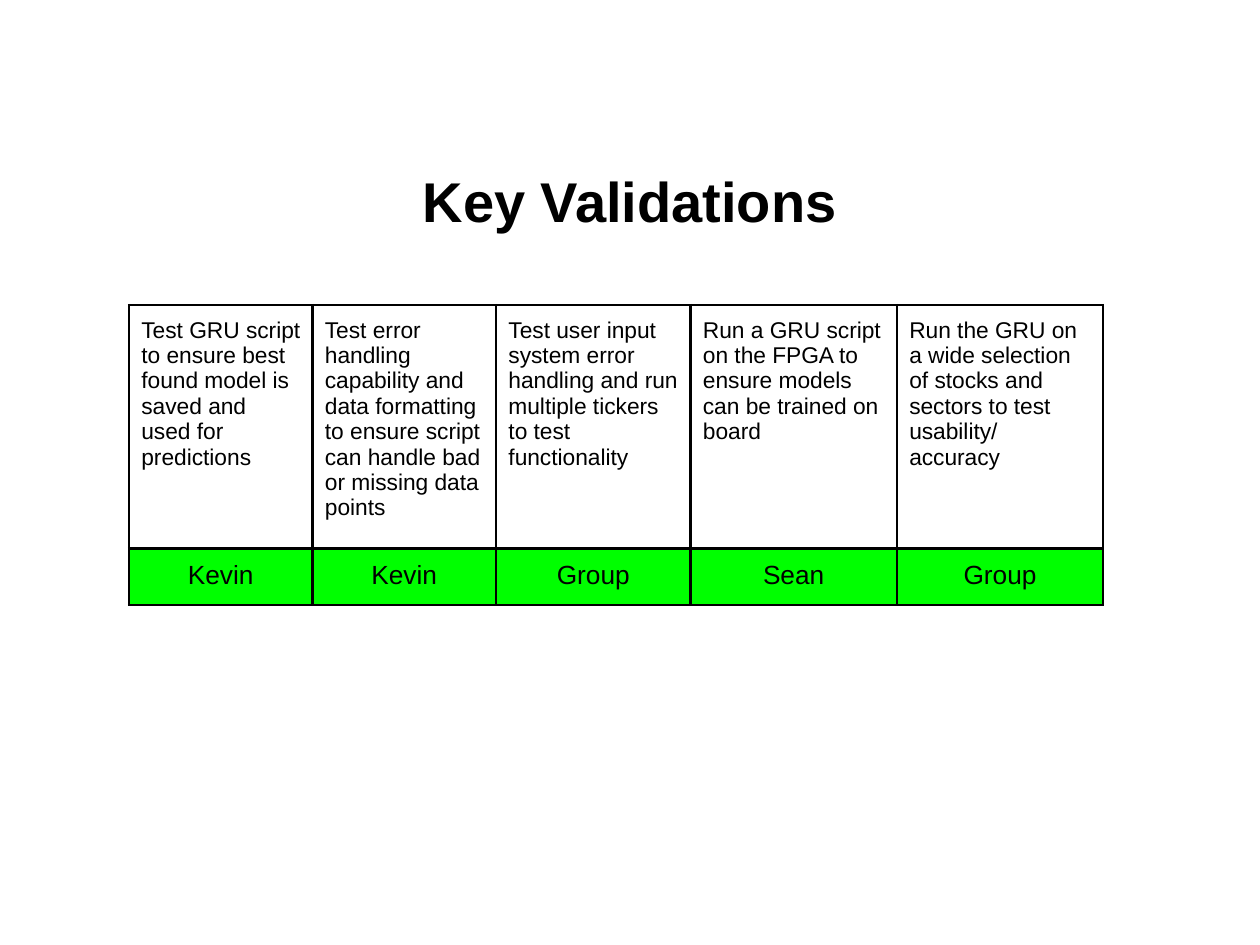
from lxml import etree
from pptx import Presentation
from pptx.dml.color import RGBColor
from pptx.enum.text import MSO_ANCHOR, PP_ALIGN
from pptx.oxml.ns import qn
from pptx.util import Cm, Pt

MIDDLE = MSO_ANCHOR.MIDDLE
LEFT, CENTER = PP_ALIGN.LEFT, PP_ALIGN.CENTER
BLACK, GREEN = "000000", "00FF00"


def color(hex_code):
    return RGBColor.from_string(hex_code)


def write(paragraph, text, size, align, bold=False):
    paragraph.alignment = align
    run = paragraph.add_run()
    run.text = text
    run.font.name = "Arial"
    run.font.size = Pt(size)
    run.font.bold = bold
    run.font.color.rgb = color(BLACK)


prs = Presentation()
prs.slide_width, prs.slide_height = Cm(25.4), Cm(19.05)
slide = prs.slides.add_slide(prs.slide_layouts[6])

# Title
title = slide.shapes.add_textbox(Cm(1.27), Cm(2.92), Cm(22.86), Cm(2.24)).text_frame
title.word_wrap = True
title.vertical_anchor = MIDDLE
write(title.paragraphs[0], "Key Validations", 32, CENTER, bold=True)

# Validations: paragraphs of the task, then its owner
validations = [
    (["Test GRU script to ensure best found model is saved and used for predictions"], "Kevin"),
    (["Test error handling capability and data formatting to ensure script "
      "can handle bad or missing data points"], "Kevin"),
    (["Test user input system error handling and run multiple tickers "
      "to test functionality"], "Group"),
    (["Run a GRU script on the FPGA to ensure models can be trained on board"], "Sean"),
    (["Run the GRU on a wide selection of stocks and sectors to test usability/",
      "accuracy"], "Group"),
]
column_widths = [3.7, 3.7, 3.92, 4.16, 4.16]
row_heights = [4.62, 1.07]

# Table
table = slide.shapes.add_table(
    2, len(validations), Cm(2.6), Cm(6.15), Cm(sum(column_widths)), Cm(sum(row_heights))
).table
table.first_row = table.horz_banding = False
for column, width in zip(table.columns, column_widths):
    column.width = Cm(width)
for row, height in zip(table.rows, row_heights):
    row.height = Cm(height)

# Cell text
for index, (task, owner) in enumerate(validations):
    task_frame = table.cell(0, index).text_frame
    for number, line in enumerate(task):
        paragraph = task_frame.add_paragraph() if number else task_frame.paragraphs[0]
        write(paragraph, line, 13, LEFT)
    write(table.cell(1, index).text_frame.paragraphs[0], owner, 15, CENTER)

# Cell margins, borders and fills
for cell in table.iter_cells():
    cell.margin_left = cell.margin_right = Cm(0.25)
    cell.margin_top = cell.margin_bottom = Cm(0.25)
    properties = cell._tc.get_or_add_tcPr()
    for side in ("a:lnL", "a:lnR", "a:lnT", "a:lnB"):
        border = etree.SubElement(properties, qn(side), w=str(Pt(1.5)))
        border_fill = etree.SubElement(border, qn("a:solidFill"))
        etree.SubElement(border_fill, qn("a:srgbClr"), val=BLACK)
for index in range(len(validations)):
    table.cell(0, index).fill.background()
    owner_fill = table.cell(1, index).fill
    owner_fill.solid()
    owner_fill.fore_color.rgb = color(GREEN)

# Fills follow the borders in the cell properties
for cell in table.iter_cells():
    properties = cell._tc.tcPr
    for fill in properties.findall(qn("a:solidFill")) + properties.findall(qn("a:noFill")):
        properties.append(fill)

prs.save("out.pptx")
